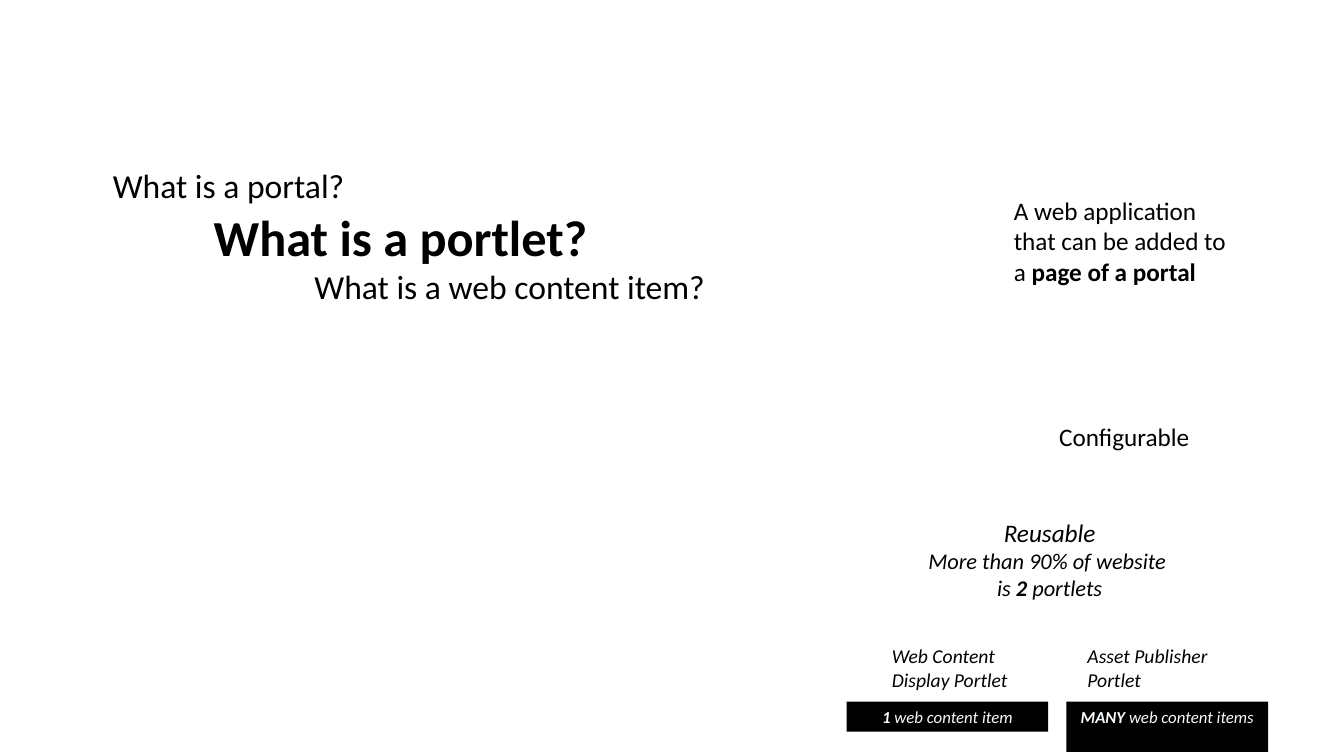
from dataclasses import dataclass

from lxml.etree import SubElement
from pptx import Presentation
from pptx.dml.color import RGBColor as Rgb
from pptx.enum.shapes import MSO_SHAPE as Kind
from pptx.enum.text import MSO_ANCHOR as Anchor, MSO_AUTO_SIZE as Fit, PP_ALIGN as Align
from pptx.oxml.ns import qn
from pptx.util import Pt


# Theme
@dataclass(frozen=True)
class Theme:
    font: str = "Calibri"
    ink: Rgb = Rgb(0x00, 0x00, 0x00)
    pale: Rgb = Rgb(0xF7, 0xFA, 0xFD)
    focus: int = 36
    lead: int = 24
    note: int = 18
    fact: int = 16
    label: int = 14
    tag: int = 12


THEME = Theme()


# Text parts: a line holds (words, bold) runs
@dataclass(frozen=True)
class Line:
    runs: tuple[tuple[str, bool], ...]
    size: int
    italic: bool = False
    indent: float = 0


@dataclass(frozen=True)
class Box:
    left: float
    top: float
    width: float
    height: float
    lines: tuple[Line, ...]
    center: bool = False
    filled: bool = False


def line(text: str, size: int, italic: bool = False, bold: bool = False, indent: float = 0) -> Line:
    return Line(((text, bold),), size, italic, indent)


def write(frame, box: Box) -> None:
    frame.word_wrap = True
    frame.auto_size = Fit.NONE
    frame.vertical_anchor = Anchor.TOP
    for i, item in enumerate(box.lines):
        para = frame.paragraphs[0] if i == 0 else frame.add_paragraph()
        props = para._p.get_or_add_pPr()
        props.set("marL", str(Pt(item.indent)))
        props.set("indent", "0")
        SubElement(props, qn("a:buNone"))
        para.alignment = Align.CENTER if box.center else Align.LEFT
        para.space_before = Pt(0)
        font = para.font
        font.name, font.size, font.italic = THEME.font, Pt(item.size), item.italic
        font.color.rgb = THEME.pale if box.filled else THEME.ink
        mixed = len(item.runs) > 1
        if not mixed:
            font.bold = item.runs[0][1]
        for text, bold in item.runs:
            run = para.add_run()
            run.text = text
            if mixed:
                run.font.bold = bold


def draw(slide, box: Box) -> None:
    area = [Pt(n) for n in (box.left, box.top, box.width, box.height)]
    if box.filled:
        shape = slide.shapes.add_shape(Kind.RECTANGLE, *area)
        shape.shadow.inherit = False
        shape.fill.solid()
        shape.fill.fore_color.rgb = THEME.ink
        shape.line.fill.background()
    else:
        shape = slide.shapes.add_textbox(*area)
    write(shape.text_frame, box)


# Content
STEP = 72
AGENDA = Box(73.4, 114.5, 612, 193, (
    line("What is a portal?", THEME.lead),
    line("What is a portlet?", THEME.focus, bold=True, indent=STEP),
    line("What is a web content item?", THEME.lead, indent=2 * STEP),
))


def label(left: float, first: str, second: str) -> Box:
    return Box(left, 456.5, 139.7, 40.3,
               (line(first, THEME.label, True), line(second, THEME.label, True)))


def tag(left: float, height: float, count: str, rest: str) -> Box:
    runs = ((count, True), (rest, False))
    return Box(left, 501.1, 144, height, (Line(runs, THEME.tag, True),), True, True)


BOXES = (
    Box(717.1, 136.1, 172, 93.6, (
        Line((("A web application that can be added to a ", False),
              ("page of a portal", True)), THEME.note),
    )),
    Box(749.5, 297.4, 177.8, 28.8, (line("Configurable", THEME.note),)),
    label(630, "Web Content", "Display Portlet"),
    label(769.7, "Asset Publisher", "Portlet"),
    tag(604.8, 21.6, "1 ", "web content item"),
    tag(761.8, 36, "MANY ", "web content items"),
    Box(627.8, 365.8, 244, 86.4, (
        line("Reusable", THEME.note, True),
        line("More than 90% of website ", THEME.fact, True),
        Line((("is ", False), ("2", True), (" portlets", False)), THEME.fact, True),
    ), center=True),
)


def main() -> None:
    deck = Presentation()
    deck.slide_width, deck.slide_height = Pt(960), Pt(540)
    slide = deck.slides.add_slide(deck.slide_layouts[1])

    # Agenda in the body placeholder; this slide has no title
    title = slide.shapes.title
    title.element.getparent().remove(title.element)
    body = slide.placeholders[1]
    body.left, body.top = Pt(AGENDA.left), Pt(AGENDA.top)
    body.width, body.height = Pt(AGENDA.width), Pt(AGENDA.height)
    write(body.text_frame, AGENDA)

    # Notes, labels and tags
    for box in BOXES:
        draw(slide, box)
    deck.save("out.pptx")


if __name__ == "__main__":
    main()
